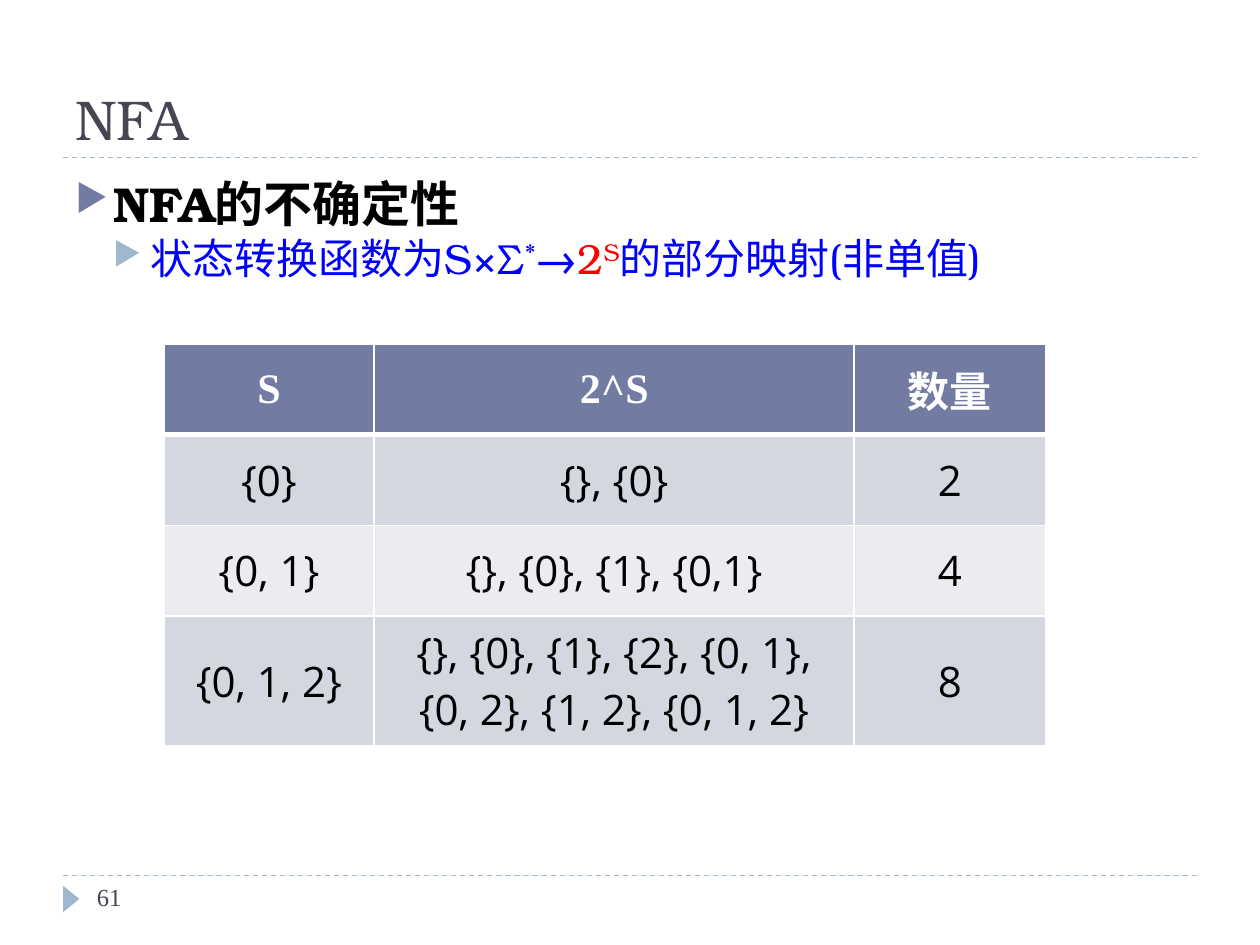
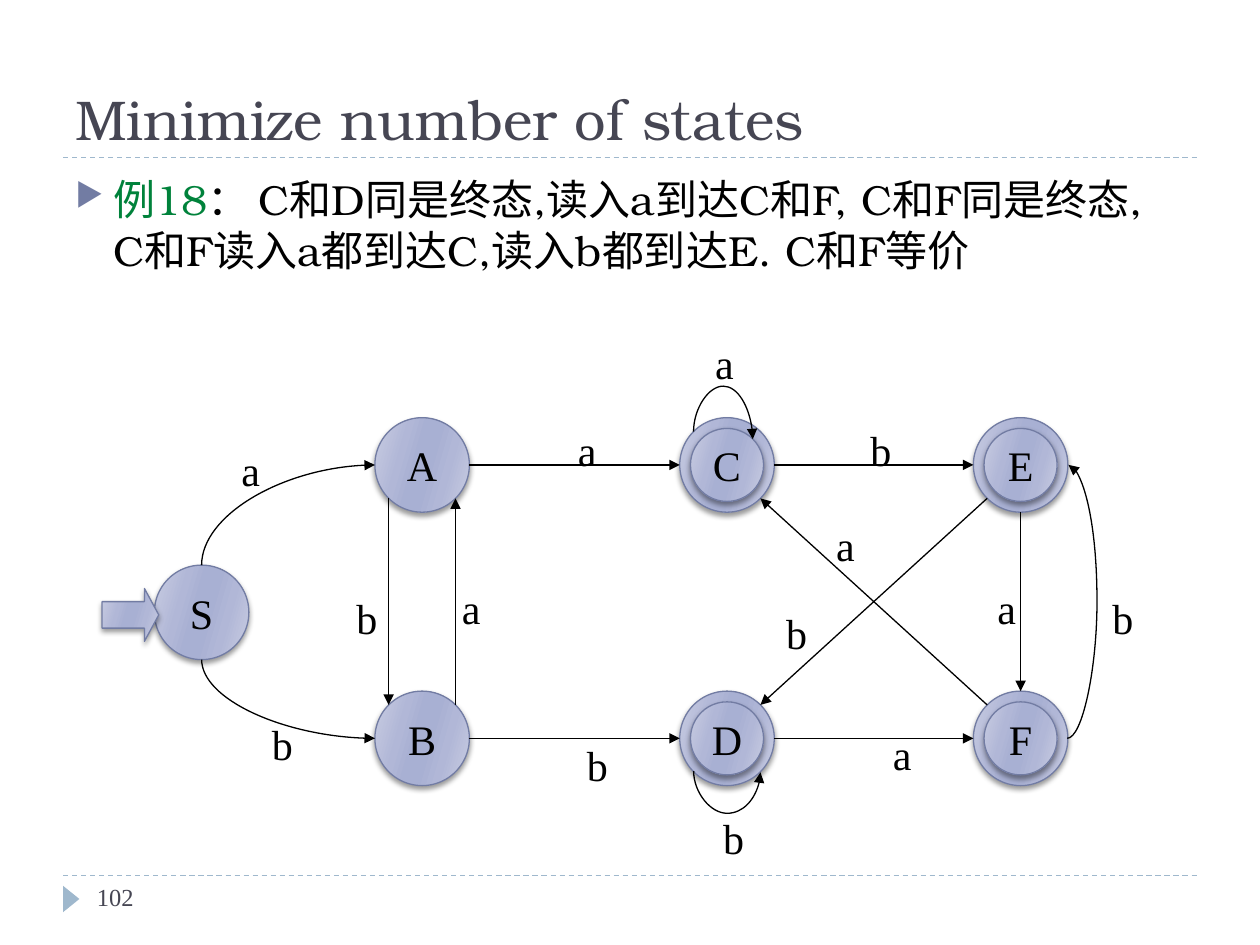
import math

import lxml.etree
import pptx
import pptx.dml.color
import pptx.enum.dml
import pptx.enum.shapes
import pptx.enum.text
import pptx.oxml.ns
import pptx.util

SERIF, ROMAN, SANS = "TeX Gyre Bonum", "Times New Roman", "Open Sans"
INK, SLATE, SKY, BLACK, WHITE = "464653", "727CA3", "9FB8CD", "000000", "FFFFFF"
BLUE, RED, GREEN = "0000FF", "FF0000", "00823B"
PRESET = pptx.enum.shapes.MSO_SHAPE
CONNECTOR = pptx.enum.shapes.MSO_CONNECTOR
ALIGN = pptx.enum.text.PP_ALIGN
ANCHOR = pptx.enum.text.MSO_ANCHOR
inch, point, qn = pptx.util.Inches, pptx.util.Pt, pptx.oxml.ns.qn
element = lxml.etree.SubElement


def rgb(color):
    return pptx.dml.color.RGBColor.from_string(color)


def write(paragraph, text, size=24, font=ROMAN, color=BLACK, bold=False, raised=0, align=None):
    run = paragraph.add_run()
    run.text = text
    run.font.size = point(size)
    run.font.name = font
    run.font.bold = bold
    run.font.color.rgb = rgb(color)
    if raised:
        run.font._element.set("baseline", str(raised * 1000))
    if align is not None:
        paragraph.alignment = align


deck = pptx.Presentation()
deck.slide_width, deck.slide_height = inch(10), inch(7.5)

# Title, page number and bulleted text of each slide
bold = dict(size=28, bold=True)
blue, red, green = dict(color=BLUE), dict(color=RED), dict(color=GREEN)
contents = [
    ("NFA", "61", ALIGN.JUSTIFY, [
        [("NFA的不确定性", bold)],
        [("状态转换函数为S×Σ", blue), ("*", dict(color=BLUE, raised=30)), ("→", blue),
         ("2", red), ("S", dict(color=RED, raised=30)), ("的部分映射(非单值)", blue)],
    ]),
    ("Minimize number of states", "102", None, [
        [("例18", green),
         ("： C和D同是终态,读入a到达C和F, C和F同是终态, "
          "C和F读入a都到达C,读入b都到达E. C和F等价", {})],
    ]),
]
for title, number, align, points in contents:
    shapes = deck.slides.add_slide(deck.slide_layouts[6]).shapes

    # Dashed rules and footer marker
    for y in (6.95, 1.25):
        rule = shapes.add_connector(CONNECTOR.STRAIGHT, inch(0.5), inch(y), inch(9.5), inch(y))
        rule.line.color.rgb = rgb(SKY)
        rule.line.width = point(0.75)
        rule.line.dash_style = pptx.enum.dml.MSO_LINE.DASH
        element(rule._element.spPr, qn("a:effectLst"))
    marker = shapes.add_shape(PRESET.ISOSCELES_TRIANGLE, inch(0.46), inch(7.07), inch(0.21), inch(0.13))
    marker.rotation = 90
    marker.shadow.inherit = False
    marker.fill.solid()
    marker.fill.fore_color.rgb = rgb(SKY)
    marker.line.fill.background()

    # Title, body and page number frames
    frames = []
    for left, top, width, height in ((0.5, 0.17, 9, 1.08), (0.5, 1.33, 9, 5.4), (0.67, 6.95, 2.17, 0.4)):
        frame = shapes.add_textbox(inch(left), inch(top), inch(width), inch(height)).text_frame
        frame.word_wrap = True
        frames.append(frame)
    heading, body, page = frames
    heading.vertical_anchor = ANCHOR.BOTTOM
    write(heading.paragraphs[0], title, size=32, font=SERIF, color=INK)
    write(page.paragraphs[0], number, size=14, color=INK)
    for level, runs in enumerate(points):
        paragraph = body.add_paragraph() if level else body.paragraphs[0]
        paragraph.level = level
        props = paragraph._p.get_or_add_pPr()
        props.set("marL", str(inch(0.3 * (level + 1))))
        props.set("indent", str(inch(-0.3)))
        element(element(props, qn("a:buClr")), qn("a:srgbClr"), val=(SLATE, SKY)[level])
        element(props, qn("a:buSzPct"), val="76000")
        element(props, qn("a:buChar"), char="▶")
        for text, style in runs:
            write(paragraph, text, font=SERIF, align=align, **style)

# Power set table: the last row holds two lines and is taller
power_sets = [
    ("S", "2^S", "数量"),
    ("{0}", "{}, {0}", "2"),
    ("{0, 1}", "{}, {0}, {1}, {0,1}", "4"),
    ("{0, 1, 2}", "{}, {0}, {1}, {2}, {0, 1},\n{0, 2}, {1, 2}, {0, 1, 2}", "8"),
]
row_heights = (0.72, 0.72, 0.72, 1.03)
table = deck.slides[0].shapes.add_table(4, 3, inch(1.3), inch(2.73), inch(7), inch(sum(row_heights))).table
for column, width in zip(table.columns, (1.67, 3.81, 1.52)):
    column.width = inch(width)
for row, texts in enumerate(power_sets):
    table.rows[row].height = inch(row_heights[row])
    style = dict(font=SANS) if row else dict(color=WHITE, bold=True)
    for column, text in enumerate(texts):
        cell = table.cell(row, column)
        cell.vertical_anchor = ANCHOR.MIDDLE
        for side in "LRTB":
            thick = (row, side) in ((0, "B"), (1, "T"))
            border = element(cell._tc.get_or_add_tcPr(), qn("a:ln" + side), w=str(point(3 if thick else 1)))
            element(element(border, qn("a:solidFill")), qn("a:srgbClr"), val=WHITE)
        cell.fill.solid()
        cell.fill.fore_color.rgb = rgb((SLATE, "D5D7E0", "EBECF0", "D5D7E0")[row])
        for index, line in enumerate(text.split("\n")):
            paragraph = cell.text_frame.add_paragraph() if index else cell.text_frame.paragraphs[0]
            write(paragraph, line, align=ALIGN.CENTER, **style)

# State discs: final states have a second, inner disc keyed in lower case
shapes = deck.slides[1].shapes
upper, middle, lower = 3.69, 4.86, 5.86
centres = {"C": (5.77, upper), "D": (5.77, lower), "B": (3.35, lower), "A": (3.35, upper),
           "E": (8.1, upper), "F": (8.1, lower), "S": (1.6, middle)}
states = {}
for name, (x, y) in centres.items():
    for key, radius in ((name, 0.375), (name.lower(), 0.29))[:2 if name in "CDEF" else 1]:
        disc = shapes.add_shape(PRESET.OVAL, inch(x - radius), inch(y - radius), inch(2 * radius), inch(2 * radius))
        states[key] = disc, x, y, radius
    disc.text_frame.word_wrap = False
    disc.text_frame.vertical_anchor = ANCHOR.MIDDLE
    write(disc.text_frame.paragraphs[0], name, align=ALIGN.CENTER)
start = shapes.add_shape(PRESET.RIGHT_ARROW, inch(0.81), inch(4.67), inch(0.45), inch(0.42))
start.adjustments[1] = 0.27

# Gradient and soft shadow for the discs and the start arrow
stops = [(0, "C9CDE2"), (30, "B1B7D7"), (45, "A8B0D3"), (55, "A8B0D3"), (73, "B1B7D7"), (100, "C9CDE2")]
for figure in [state[0] for state in states.values()] + [start]:
    figure.fill.gradient()
    figure.fill.gradient_angle = 344
    properties = figure._element.spPr
    stop_list = properties.find(".//" + qn("a:gsLst"))
    for stop in list(stop_list):
        stop_list.remove(stop)
    for position, color in stops:
        element(element(stop_list, qn("a:gs"), pos=str(position * 1000)), qn("a:srgbClr"), val=color)
    figure.line.color.rgb = rgb(SLATE)
    figure.line.width = point(0.75)
    figure.shadow.inherit = False
    shadow = element(properties.find(qn("a:effectLst")), qn("a:outerShdw"), blurRad=str(point(3)),
                     dist=str(point(2)), dir="5400000", rotWithShape="0")
    element(element(shadow, qn("a:srgbClr"), val=BLACK), qn("a:alpha"), val="40000")

# Transitions: sites count counter-clockwise from the top in eighths of a turn;
# curves add rotation, flip and bulge in inches (no bulge is a quarter curve)
transitions = [
    ("S", 0, "A", 2, (270, None, None)), ("S", 4, "B", 2, (270, "flipH", None)),
    ("B", 7, "A", 5, None), ("A", 3, "B", 1, None),
    ("A", 6, "C", 2, None), ("B", 6, "D", 2, None),
    ("D", 6, "F", 2, None), ("C", 6, "E", 2, None), ("E", 4, "F", 0, None),
    ("F", 6, "E", 6, (0, "flipV", 0.24)),
    ("C", 1, "c", 7, (90, "flipV", -0.36)), ("D", 3, "D", 5, (270, "flipH", 0.34)),
    ("F", 1, "C", 5, None), ("E", 3, "D", 7, None),
]
for source, source_site, target, target_site, curve in transitions:
    ends = []
    for key, site in ((source, source_site), (target, target_site)):
        disc, x, y, radius = states[key]
        angle = math.radians(90 + 45 * site)
        ends.append((x + radius * math.cos(angle), y - radius * math.sin(angle)))
    (x1, y1), (x2, y2) = ends
    if curve:
        turn, flip, bulge = curve
        width, height = abs(x2 - x1), abs(y2 - y1)
        if turn % 180:
            width, height = height, width
        width = max(width, 0.01)
        left, top = (x1 + x2 - width) / 2, (y1 + y2 - height) / 2
        edge = shapes.add_connector(CONNECTOR.CURVE, inch(left), inch(top), inch(left + width), inch(top + height))
        frame = edge._element.spPr.find(qn("a:xfrm"))
        frame.set("rot", str(turn * 60000))
        if flip:
            frame.set(flip, "1")
        geometry = edge._element.spPr.find(qn("a:prstGeom"))
        if bulge is None:
            geometry.set("prst", "curvedConnector2")
        else:
            element(geometry.find(qn("a:avLst")), qn("a:gd"), name="adj1", fmla=f"val {round(bulge / width * 100000)}")
    else:
        edge = shapes.add_connector(CONNECTOR.STRAIGHT, inch(x1), inch(y1), inch(x2), inch(y2))
    links = edge._element.nvCxnSpPr.cNvCxnSpPr
    for tag, key, site in (("a:stCxn", source, source_site), ("a:endCxn", target, target_site)):
        element(links, qn(tag), id=str(states[key][0].shape_id), idx=str(site))
    edge.line.color.rgb = rgb(BLACK)
    edge.line.width = point(0.75)
    element(edge.line._get_or_add_ln(), qn("a:tailEnd"), type="triangle")
    element(edge._element.spPr, qn("a:effectLst"))

# Input letters beside the transitions
letters = {
    "a": [(1.81, 3.48), (3.56, 4.57), (4.48, 3.32), (7.81, 4.57), (6.98, 5.73), (6.53, 4.07), (5.57, 2.63)],
    "b": [(8.73, 4.65), (2.06, 5.65), (2.73, 4.65), (4.56, 5.82), (6.81, 3.32), (5.64, 6.4), (6.14, 4.77)],
}
for letter, places in letters.items():
    for left, top in places:
        frame = shapes.add_textbox(inch(left), inch(top), inch(0.36), inch(0.5)).text_frame
        frame.word_wrap = False
        frame.auto_size = pptx.enum.text.MSO_AUTO_SIZE.SHAPE_TO_FIT_TEXT
        frame.vertical_anchor = ANCHOR.MIDDLE
        write(frame.paragraphs[0], letter, align=ALIGN.CENTER)

deck.save("out.pptx")
